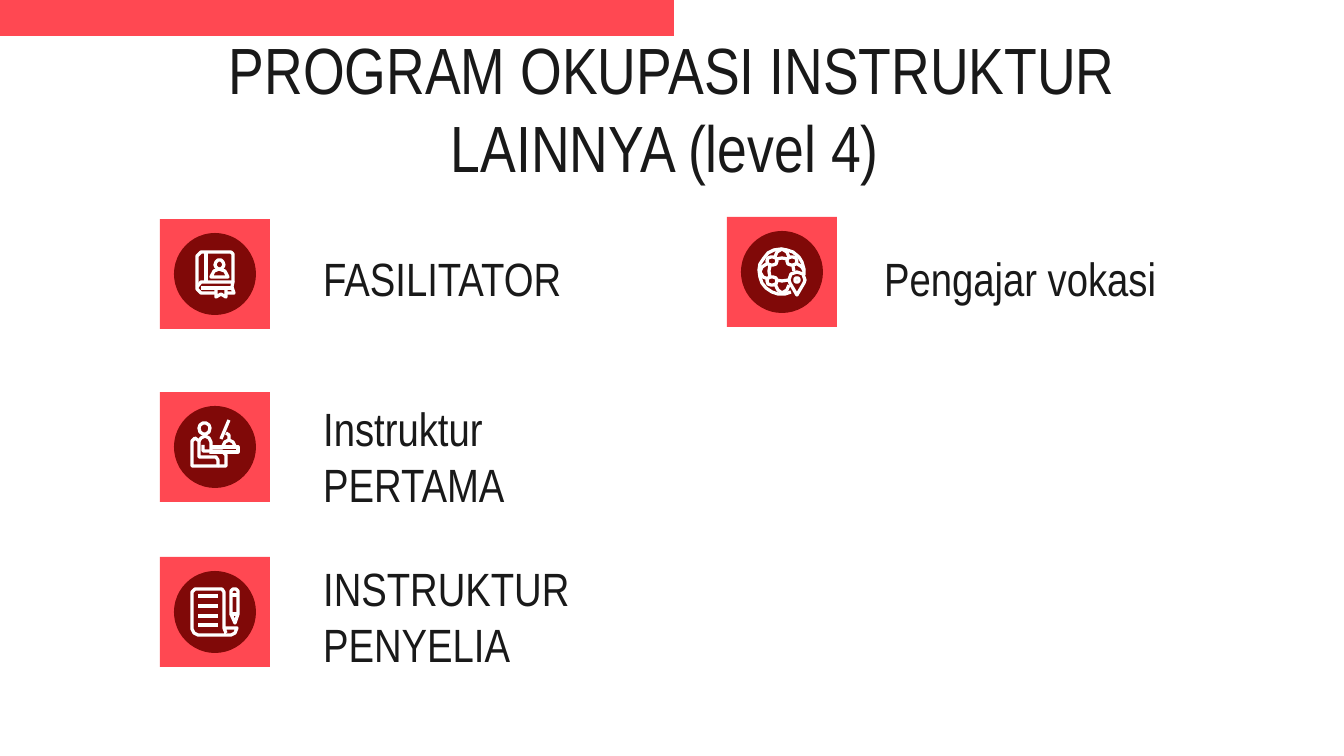
import math

from pptx import Presentation
from pptx import util as u
from pptx.dml.color import RGBColor
from pptx.enum import shapes, text

PX = 6804  # EMU per px
RED, MAROON, INK, WHITE = "FF4852", "800908", "191919", "FFFFFF"
STROKE = 1.75
RECT, OVAL = shapes.MSO_SHAPE.RECTANGLE, shapes.MSO_SHAPE.OVAL


def arc(x, y, radius, start=0, end=360):
    """Points along an arc, in degrees clockwise from the right."""
    steps = 10 if radius < 10 else 18
    turns = [math.radians(start + (end - start) * i / steps) for i in range(steps + 1)]
    return [(round(x + radius * math.cos(a), 2), round(y + radius * math.sin(a), 2))
            for a in turns]


# Icon strokes are points in px from the tile's corner.
BOOK = [
    [(73, 63), (73, 35), (71, 33), (41, 33), (37, 37), (37, 70), (41, 74), (56, 74)],
    [(37, 68), (41, 63), (73, 63), (72, 68), (74, 74), (66, 74)],
    [(46, 33), (46, 63)],
    [(41, 69), (72, 69)],
    [(56, 69), (56, 78), (61, 75), (66, 78), (66, 69)],
    [(51, 58), (54, 52), (59, 50), (65, 52), (68, 58), (51, 58)],
    arc(59.5, 45.5, 4.5),
]
DESK = [
    [(32, 74), (32, 49), (35, 46), (39, 49), (39, 65), (56, 65), (58, 68), (58, 74), (32, 74)],
    [(39, 49), (41, 46), (45, 44), (49, 46), (51, 50), (51, 62)],
    [(43, 53), (43, 59), (62, 59), (66, 63), (66, 74), (58, 74)],
    [(51, 55), (78, 55), (78, 60), (51, 60)],
    [(61, 47), (69, 28)],
    [(66, 41), (69, 43), (69, 49)],
    [(63, 54), (65, 50), (69, 48), (73, 50), (75, 54)],
    arc(44.5, 36.5, 5.5),
]
PAPER = [
    [(66, 76), (64, 71), (64, 35), (62, 32), (35, 32), (32, 35), (32, 72), (34, 76),
     (38, 78), (71, 78), (75, 76), (77, 71), (64, 71)],
    *[[(38, y), (58, y)] for y in (39, 49, 59, 68)],
    [(71, 57), (71, 34), (73, 32), (76, 32), (78, 34), (78, 57), (75, 66), (71, 57)],
    [(71, 38), (78, 38)],
    [(71, 57), (78, 57)],
]
GLOBE = [
    arc(54.5, 54.5, 22.5, 65, 370),
    *[arc(x, y, 4.5) for x, y in ((45, 44), (65, 44), (45, 64))],
    [(48, 40), (50, 35), (55, 32), (60, 35), (62, 40)],
    [(41, 46), (35, 50), (33, 55), (36, 60), (41, 62)],
    [(48, 67), (51, 73), (55, 76), (60, 73), (62, 68)],
    [(69, 46), (75, 50), (77, 54)],
    [(49, 42), (55, 41), (61, 42)],
    [(43, 49), (42, 54), (43, 60)],
    [(49, 63), (55, 64), (62, 63)],
    [(66, 49), (67, 54)],
    [(70, 78), *arc(70, 63, 8, 155, 385), (70, 78)],
    arc(70, 63, 2.5),
]

ITEMS = [  # label, label left and top, tile left and top, icon
    ("FASILITATOR", 310, 247, 160, 219, BOOK),
    ("Instruktur PERTAMA", 310, 425, 160, 392, DESK),
    ("INSTRUKTUR PENYELIA", 310, 585, 160, 557, PAPER),
    ("Pengajar vokasi", 871, 247, 727, 217, GLOBE),
]


def rgb(color):
    return RGBColor.from_string(color)


def px(*lengths):
    return [u.Emu(n * PX) for n in lengths]


def add_preset(parent, kind, box, fill):
    sp = parent.add_shape(kind, *px(*box))
    sp.shadow.inherit = False
    sp.fill.solid()
    sp.fill.fore_color.rgb = rgb(fill)
    sp.line.fill.background()


def add_icon(parent, left, top, strokes):
    """Draw all strokes of an icon as one white outline."""
    builder = parent.build_freeform(*strokes[0][0], scale=PX)
    for i, points in enumerate(strokes):
        if i:
            builder.move_to(*points[0])
        builder.add_line_segments(points[1:], close=False)
    sp = builder.convert_to_shape(*px(left, top))
    sp.shadow.inherit = False
    sp.fill.background()
    sp.line.color.rgb = rgb(WHITE)
    sp.line.width = u.Pt(STROKE)


def add_tile(slide, left, top, icon):
    group = slide.shapes.add_group_shape().shapes
    add_preset(group, RECT, (left, top, 110, 110), RED)
    add_preset(group, OVAL, (left + 14, top + 14, 82, 82), MAROON)
    add_icon(slide.shapes, left, top, icon)


def add_text(slide, words, box, size, align=text.PP_ALIGN.LEFT):
    tf = slide.shapes.add_textbox(*px(*box)).text_frame
    tf.word_wrap = True
    tf.vertical_anchor = text.MSO_ANCHOR.MIDDLE
    tf.margin_left = tf.margin_right = tf.margin_top = tf.margin_bottom = u.Inches(0.1)
    p = tf.paragraphs[0]
    p.alignment = align
    r = p.add_run()
    r.text = words
    r.font.name = "Arial Narrow"
    r.font.size = u.Pt(size)
    r.font.color.rgb = rgb(INK)


def main():
    prs = Presentation()
    prs.slide_width, prs.slide_height = px(1344, 756)
    slide = prs.slides.add_slide(prs.slide_layouts[6])
    add_preset(slide.shapes, RECT, (-3, -44, 677, 80), RED)
    add_text(slide, "PROGRAM OKUPASI INSTRUKTUR LAINNYA (level 4) ",
             (106, 65, 1133, 85), 35, align=text.PP_ALIGN.CENTER)
    for label, label_left, label_top, left, top, icon in ITEMS:
        add_tile(slide, left, top, icon)
        add_text(slide, label, (label_left, label_top, 306, 61), 25)
    prs.save("out.pptx")


if __name__ == "__main__":
    main()
